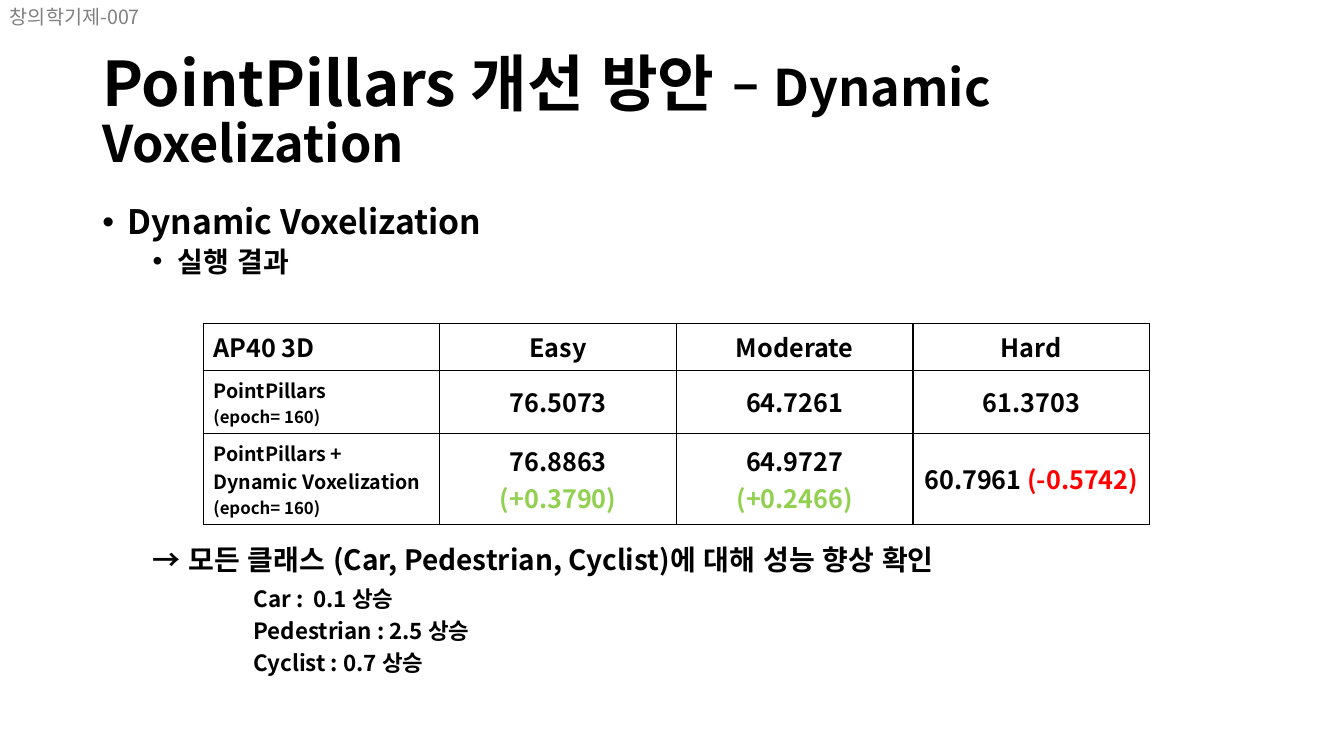
from pptx import Presentation
from pptx.dml.color import RGBColor
from pptx.enum.lang import MSO_LANGUAGE_ID as Language
from pptx.enum.text import MSO_ANCHOR as Anchor, PP_ALIGN as Align
from pptx.oxml.ns import qn
from pptx.util import Pt
from lxml.etree import SubElement

BLACK = RGBColor(0, 0, 0)
GRAY = RGBColor(0x80, 0x80, 0x80)
GREEN = RGBColor(0x92, 0xD0, 0x50)
RED = RGBColor(0xFF, 0, 0)


class SlideBuilder:
    font = "Noto Sans CJK KR"
    border_width = Pt(1)

    def __init__(self, page):
        self.page = page

    def span(self, para, text, size, color=BLACK, bold=True):
        run = para.add_run()
        run.text = text
        run.font.size = Pt(size)
        run.font.bold = bold
        run.font.color.rgb = color
        run.font.name = self.font
        run.font.language_id = Language.KOREAN
        properties = run._r.get_or_add_rPr()
        properties.set("kern", "0")
        SubElement(properties, qn("a:ea"), typeface=self.font)

    def text_box(self, left, top, width, height, anchor=Anchor.TOP):
        box = self.page.shapes.add_textbox(Pt(left), Pt(top), Pt(width), Pt(height))
        frame = box.text_frame
        frame.word_wrap = True
        frame.vertical_anchor = anchor
        return frame

    def list_item(self, para, text, size, indent, before, bullet=False):
        """Fill one indented paragraph, with a hanging bullet if asked for."""
        para.line_spacing = 0.87
        para.space_before = Pt(before)
        properties = para._p.get_or_add_pPr()
        properties.set("marL", str(Pt(indent)))
        properties.set("indent", str(Pt(-18 if bullet else 0)))
        if bullet:
            SubElement(properties, qn("a:buFont"), typeface="Arial")
            SubElement(properties, qn("a:buChar"), char="•")
        self.span(para, text, size)

    def border(self, cell):
        properties = cell._tc.get_or_add_tcPr()
        for side in ("lnL", "lnR", "lnT", "lnB"):
            line = SubElement(properties, qn(f"a:{side}"), w=str(self.border_width))
            fill = SubElement(line, qn("a:solidFill"))
            SubElement(fill, qn("a:srgbClr"), val=str(BLACK))

    def table(self, left, top, width, row_heights, rows):
        """Each cell is a list of paragraphs; each paragraph a list of spans."""
        frame = self.page.shapes.add_table(len(rows), len(rows[0]), Pt(left), Pt(top),
                                           Pt(width), Pt(sum(row_heights)))
        table = frame.table
        table.first_row = table.horz_banding = False
        for row_index, (height, row) in enumerate(zip(row_heights, rows)):
            table.rows[row_index].height = Pt(height)
            for column, paragraphs in enumerate(row):
                cell = table.cell(row_index, column)
                self.border(cell)
                cell.fill.background()
                cell.vertical_anchor = Anchor.MIDDLE if column else Anchor.TOP
                for index, spans in enumerate(paragraphs):
                    text = cell.text_frame
                    para = text.add_paragraph() if index else text.paragraphs[0]
                    para.alignment = Align.CENTER if column else Align.LEFT
                    for span in spans:
                        self.span(para, *span)


def score(value, change=None, color=BLACK):
    if change is None:
        return [[(value, 18)]]
    return [[(value + " ", 18), (change, 18, color)]]


def main():
    deck = Presentation()
    deck.slide_width, deck.slide_height = Pt(960), Pt(540)
    builder = SlideBuilder(deck.slides.add_slide(deck.slide_layouts[6]))

    course = builder.text_box(0, 0, 123, 24.5)
    builder.span(course.paragraphs[0], "창의학기제-007", 14, GRAY, False)

    items = [
        ("Dynamic Voxelization", 24, 18, 0, True),
        ("실행 결과", 20, 54, 5, True),
        ("→ 모든 클래스 (Car, Pedestrian, Cyclist)에 대해 성능 향상 확인", 20, 36, 192),
        ("Car :  0.1 상승", 16, 108, 9.5),
        ("Pedestrian : 2.5 상승", 16, 108, 6),
        ("Cyclist : 0.7 상승", 16, 108, 6),
    ]
    body = builder.text_box(66, 144, 828, 391)
    for index, item in enumerate(items):
        para = body.add_paragraph() if index else body.paragraphs[0]
        builder.list_item(para, *item)

    title = builder.text_box(66, 28.75, 872.5, 104.4, Anchor.MIDDLE).paragraphs[0]
    title.line_spacing = 0.9
    builder.span(title, "PointPillars 개선 방안 ", 44)
    builder.span(title, "– Dynamic Voxelization", 36)

    epoch = ("(epoch= 160)", 12)
    builder.table(145.25, 231, 676, [33.5, 45, 65], [
        [score("AP40 3D"), score("Easy"), score("Moderate"), score("Hard")],
        [[[("PointPillars", 14)], [epoch]],
         score("76.5073"), score("64.7261"), score("61.3703")],
        [[[("PointPillars + Dynamic Voxelization ", 14), epoch]],
         score("76.8863", "(+0.3790)", GREEN),
         score("64.9727", "(+0.2466)", GREEN),
         score("60.7961", "(-0.5742)", RED)],
    ])

    deck.save("out.pptx")


if __name__ == "__main__":
    main()
